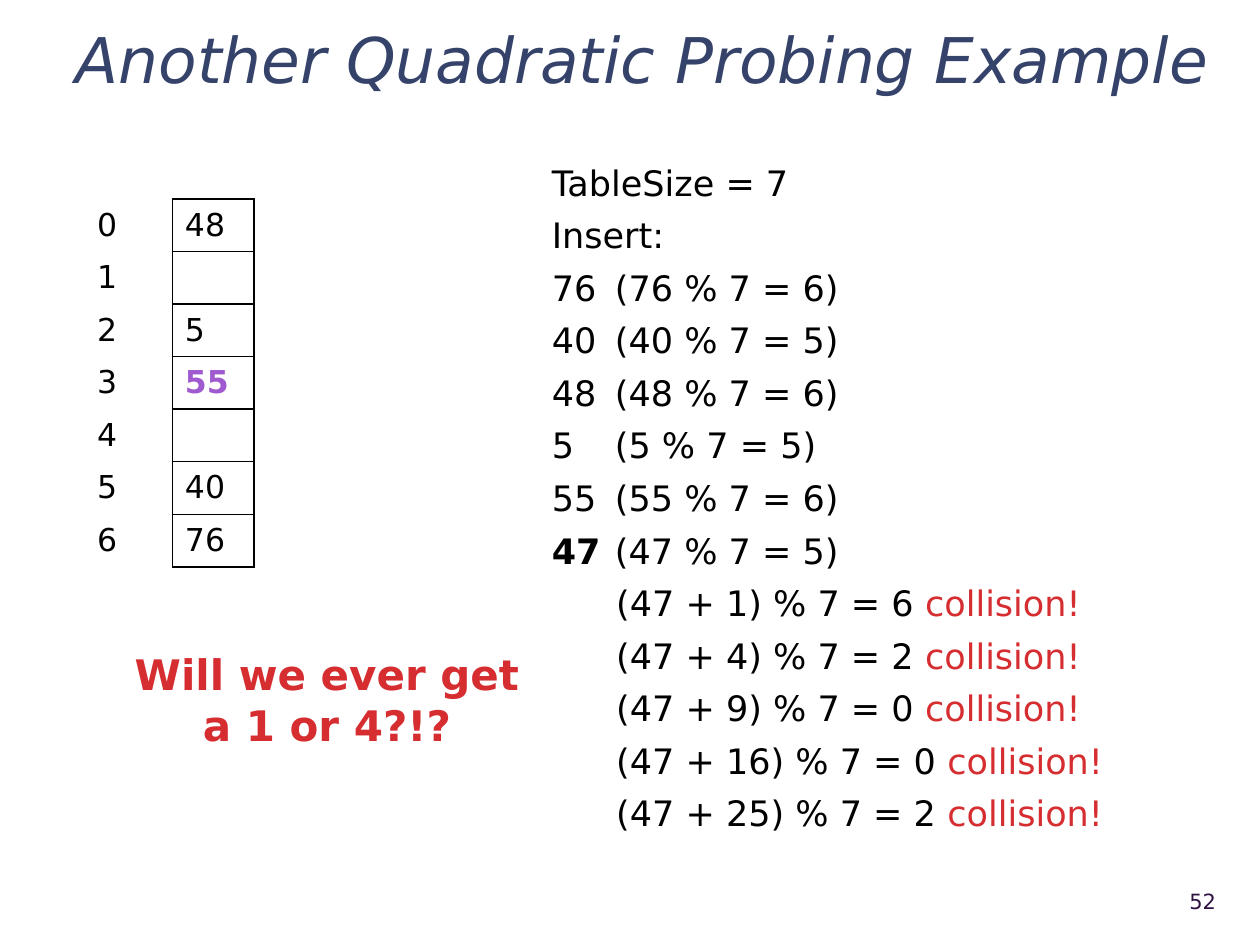
import pptx
import pptx.util
import pptx.dml.color
import pptx.enum.text
import pptx.oxml
import pptx.oxml.ns

FONT = "DejaVu Sans"
BLACK, RED, PURPLE = "000000", "D62D31", "9F5AD0"
NAVY, PLUM = "35436A", "2F1343"
ALIGN = pptx.enum.text.PP_ALIGN
ANCHOR = pptx.enum.text.MSO_ANCHOR
FIT = pptx.enum.text.MSO_AUTO_SIZE
COLS, ROWS = 20, 15


def color(code):
    return pptx.dml.color.RGBColor.from_string(code)


def node(parent, tag, **attrs):
    item = pptx.oxml.parse_xml(f"<a:{tag} {pptx.oxml.ns.nsdecls('a')}/>")
    for key, val in attrs.items():
        item.set(key, str(val))
    parent.append(item)
    return item


class Deck:
    def __init__(self, wide, high):
        self.show = pptx.Presentation()
        self.show.slide_width = pptx.util.Inches(wide)
        self.show.slide_height = pptx.util.Inches(high)
        self.slide = self.show.slides.add_slide(self.show.slide_layouts[1])

    def grid(self, left, top, wide, high):
        unit_x = self.show.slide_width / COLS
        unit_y = self.show.slide_height / ROWS
        return [round(n * u) for n, u in zip((left, top, wide, high), (unit_x, unit_y) * 2)]

    def place(self, shape, area):
        shape.left, shape.top, shape.width, shape.height = self.grid(*area)

    def run(self, para, text, size, code=BLACK, bold=False, slant=False):
        run = para.add_run()
        run.text = text
        font = run.font
        font.name, font.size = FONT, pptx.util.Pt(size)
        font.bold, font.italic = bold, slant
        font.color.rgb = color(code)

    def title(self, text, area):
        shape = self.slide.shapes.title
        self.place(shape, area)
        frame = shape.text_frame
        frame.auto_size, frame.vertical_anchor = FIT.NONE, ANCHOR.MIDDLE
        para = frame.paragraphs[0]
        para.alignment, para.line_spacing = ALIGN.LEFT, 1.1
        self.run(para, text, 36, NAVY, slant=True)

    def list(self, lines, area):
        shape = self.slide.placeholders[1]
        self.place(shape, area)
        frame = shape.text_frame
        frame.auto_size = FIT.NONE
        for num, (dent, stop, runs) in enumerate(lines):
            para = frame.add_paragraph() if num else frame.paragraphs[0]
            para.space_before = pptx.util.Pt(6)
            props = para._p.get_or_add_pPr()
            props.set("marL", str(pptx.util.Inches(dent)))
            props.set("indent", "0")
            node(props, "buNone")
            if stop:
                tabs = node(props, "tabLst")
                node(tabs, "tab", pos=pptx.util.Inches(stop), algn="l")
            for text, code, bold in runs:
                self.run(para, text, 20, code, bold)

    def label(self, text, area, size, code, align, anchor=ANCHOR.TOP, bold=False):
        frame = self.slide.shapes.add_textbox(*self.grid(*area)).text_frame
        frame.word_wrap, frame.vertical_anchor = True, anchor
        para = frame.paragraphs[0]
        para.alignment = align
        self.run(para, text, size, code, bold)

    def edge(self, cell, sides):
        props = cell._tc.get_or_add_tcPr()
        for side in ("lnL", "lnR", "lnT", "lnB"):
            if side in sides:
                line = node(props, side, w=pptx.util.Pt(1))
                node(node(line, "solidFill"), "srgbClr", val=BLACK)
            else:
                node(node(props, side, w=0), "noFill")

    def table(self, slots, area, split):
        shape = self.slide.shapes.add_table(len(slots), 2, *self.grid(*area))
        table = shape.table
        table.first_row = table.horz_banding = False
        for col, part in zip(table.columns, split):
            col.width = round(shape.width * part)
        for row, (text, code) in enumerate(slots):
            pair = ((str(row), BLACK, ("lnR",)), (text, code, ("lnL", "lnR", "lnT", "lnB")))
            for col, (word, tint, sides) in enumerate(pair):
                cell = table.cell(row, col)
                cell.vertical_anchor = ANCHOR.MIDDLE
                self.edge(cell, sides)
                cell.fill.background()
                if word:
                    self.run(cell.text_frame.paragraphs[0], word, 18, tint, tint != BLACK)

    def save(self):
        self.show.save("out.pptx")


def main():
    deck = Deck(10, 7.5)
    deck.title("Another Quadratic Probing Example", (1, 0.34, 18.5, 1.06))
    deck.label("52", (17.78, 13.9, 1.72, 0.8), 12, PLUM, ALIGN.RIGHT, ANCHOR.MIDDLE)

    slots = [("48", BLACK), ("", BLACK), ("5", BLACK), ("55", PURPLE),
             ("", BLACK), ("40", BLACK), ("76", BLACK)]
    deck.table(slots, (1.34, 3.16, 2.66, 5.84), (0.525, 0.475))

    lines = [(0, 0, [(text, BLACK, False)]) for text in ("TableSize = 7", "Insert:")]
    for key in (76, 40, 48, 5, 55, 47):
        stop = 2.5 if key == 48 else 2
        lines.append((0, stop, [(str(key), BLACK, key == 47),
                                (f"\t({key} % 7 = {key % 7})", BLACK, False)]))
    for step in range(1, 6):
        jump = step ** 2
        lines.append((0.51, 0, [(f"(47 + {jump}) % 7 = {(47 + jump) % 7} ", BLACK, False),
                                ("collision!", RED, False)]))
    deck.list(lines, (8.56, 2.46, 9.64, 11.82))

    deck.label("Will we ever get a 1 or 4?!?", (1.82, 10.2, 6.74, 1.82), 24, RED,
               ALIGN.CENTER, bold=True)
    deck.save()


if __name__ == "__main__":
    main()
